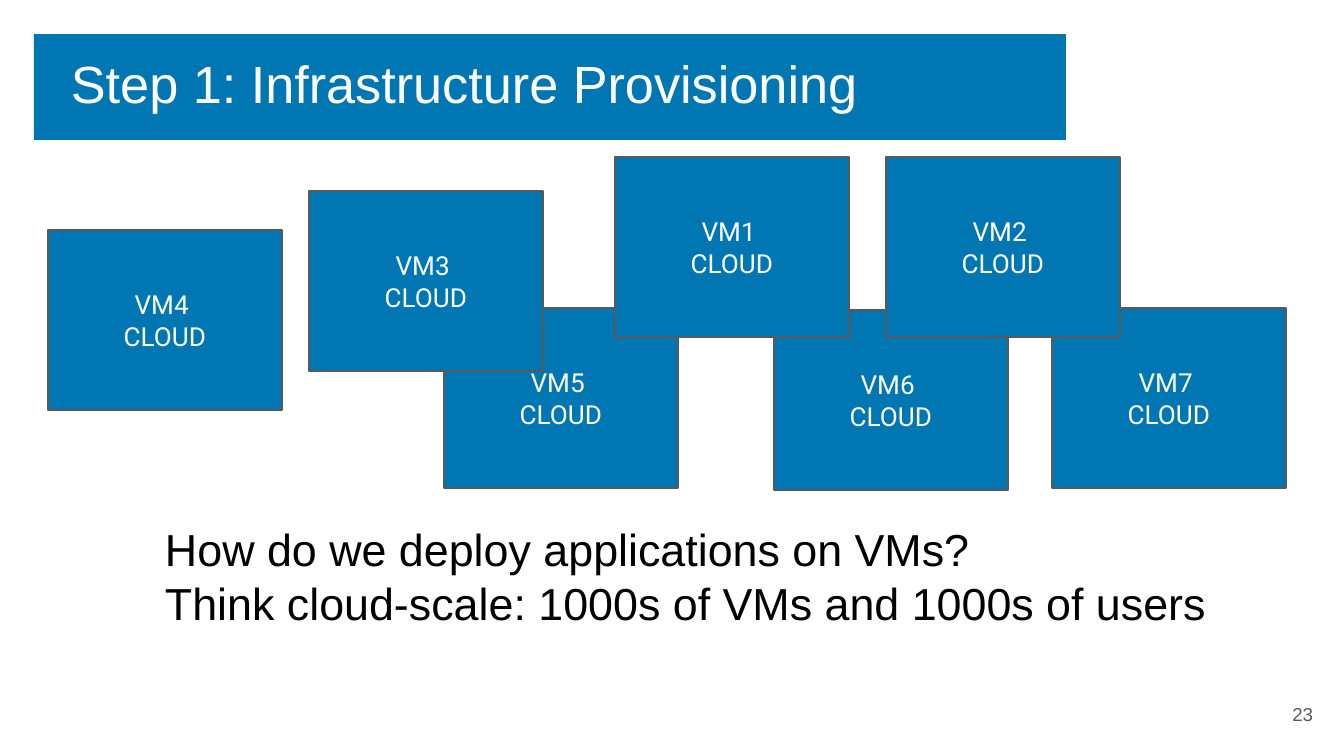
"""Build the infrastructure provisioning slide with seven cloud VMs."""
from pptx import Presentation
from pptx.dml.color import RGBColor
from pptx.enum.shapes import MSO_SHAPE
from pptx.enum.text import MSO_ANCHOR, PP_ALIGN
from pptx.util import Inches, Pt

SCALE = Inches(10) / 1344
BLUE = RGBColor(0x00, 0x77, 0xB3)
GRAY = RGBColor(0x59, 0x59, 0x59)
WHITE = RGBColor(0xFF, 0xFF, 0xFF)
BLACK = RGBColor(0x00, 0x00, 0x00)


def px(length):
    return round(length * SCALE)


def write(shape, lines, font_name, size, color, frame_format, paragraph_format):
    frame = shape.text_frame
    margins = {f"margin_{side}": px(13) for side in ("left", "top", "right", "bottom")}
    for name, value in {"word_wrap": True, **margins, **frame_format}.items():
        setattr(frame, name, value)
    frame.text = "\n".join(lines)
    for paragraph in frame.paragraphs:
        for name, value in paragraph_format.items():
            setattr(paragraph, name, value)
        for name, value in {"name": font_name, "size": Pt(size)}.items():
            setattr(paragraph.font, name, value)
        paragraph.font.color.rgb = color


presentation = Presentation()
presentation.slide_width = px(1344)
presentation.slide_height = px(756)
slide = presentation.slides.add_slide(presentation.slide_layouts[6])

virtual_machines = [
    ("VM7", 1052, 308),
    ("VM6", 774, 310),
    ("VM5", 444, 308),
    ("VM1", 615, 157),
    ("VM2", 886, 157),
    ("VM3", 309, 191),
    ("VM4", 48, 230),
]
for label, left, top in virtual_machines:
    machine = slide.shapes.add_shape(MSO_SHAPE.RECTANGLE, px(left), px(top), px(234), px(180))
    machine.shadow.inherit = False
    machine.fill.solid()
    machine.fill.fore_color.rgb = BLUE
    machine.line.color.rgb = GRAY
    machine.line.width = Pt(0.75)
    write(machine, [f"{label} ", "CLOUD"], "Roboto", 14, WHITE,
          {"vertical_anchor": MSO_ANCHOR.MIDDLE}, {"alignment": PP_ALIGN.CENTER})

title = slide.shapes.add_shape(MSO_SHAPE.RECTANGLE, px(34), px(34), px(1032), px(106))
title.shadow.inherit = False
title.fill.solid()
title.fill.fore_color.rgb = BLUE
title.line.fill.background()
title_frame = {
    "vertical_anchor": MSO_ANCHOR.MIDDLE,
    "margin_left": px(37),
    "margin_top": px(32),
    "margin_right": px(32),
    "margin_bottom": px(32),
}
write(title, ["Step 1: Infrastructure Provisioning"], "Arial", 28, WHITE,
      title_frame, {"alignment": PP_ALIGN.LEFT, "line_spacing": 0.9})

questions = slide.shapes.add_textbox(px(152), px(509), px(1106), px(150))
question_lines = [
    "How do we deploy applications on VMs?",
    "Think cloud-scale: 1000s of VMs and 1000s of users",
]
write(questions, question_lines, "Arial", 24, BLACK,
      {"vertical_anchor": MSO_ANCHOR.TOP}, {"alignment": PP_ALIGN.LEFT})

slide_number = slide.shapes.add_textbox(px(1246), px(685), px(80), px(58))
write(slide_number, ["23"], "Arial", 10, GRAY,
      {"vertical_anchor": MSO_ANCHOR.MIDDLE}, {"alignment": PP_ALIGN.RIGHT})

presentation.save("out.pptx")
